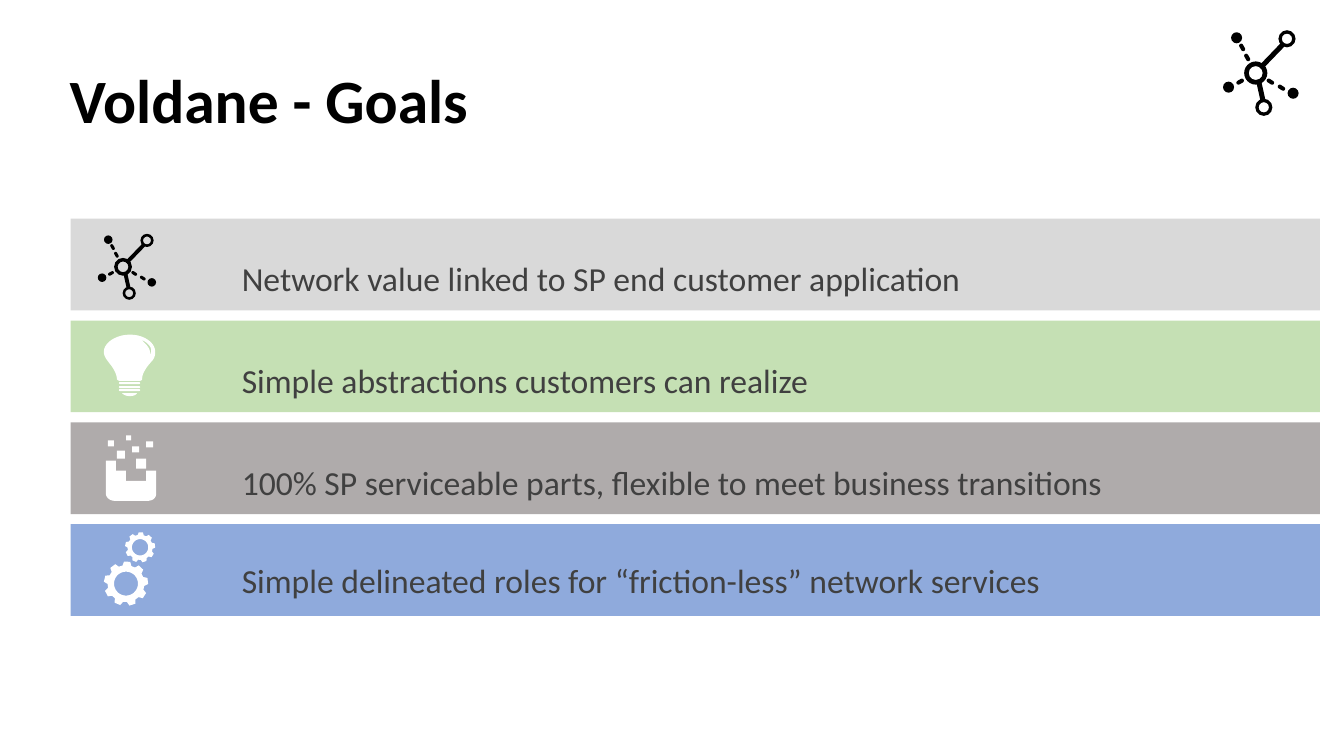
"""Build the project goals slide: four coloured bars, each with an icon."""
from math import cos, radians, sin

from pptx import Presentation
from pptx import util as u
from pptx.dml.color import RGBColor
from pptx.enum import shapes, text

COLORS = {"black": "000000", "white": "FFFFFF", "text": "404040", "grey": "D9D9D9",
          "green": "C5E0B4", "taupe": "AFABAB", "blue": "8FAADC"}
TITLE = "Voldane - Goals"
GOALS = [
    ("Network value linked to SP end customer application", "grey", 2.11),
    ("Simple abstractions customers can realize", "green", 3.12),
    ("100% SP serviceable parts, flexible to meet business transitions", "taupe", 4.13),
    ("Simple delineated roles for “friction-less” network services", "blue", 5.11),
]
BAR_LEFT, BAR_TOP, BAR_PITCH, BAR_WIDTH, BAR_HEIGHT = 0.7, 2.17, 1.01, 12.39, 0.91
TEXT_LEFT, TEXT_WIDTH, TEXT_HEIGHT = 2.3, 10.06, 1.01

NETWORK_PLACES = [(12.13, 0.3, 1), (0.97, 2.32, 0.77)]
NETWORK_PARTS = [
    ("OVAL", 0, 0.51, 0.11, 0.11, 0),
    ("OVAL", 0.08, 0.02, 0.11, 0.11, 0),
    ("OVAL", 0.64, 0.57, 0.11, 0.11, 0),
    ("DONUT", 0.32, 0.68, 0.17, 0.17, 0),
    ("DONUT", 0.21, 0.31, 0.23, 0.23, 0),
    ("DONUT", 0.55, 0, 0.17, 0.17, 0),
    ("RECTANGLE", 0.46, 0.09, 0.05, 0.33, 43.9),
    ("ROUNDED_RECTANGLE", 0.17, 0.13, 0.04, 0.08, 330.4),
    ("ROUNDED_RECTANGLE", 0.22, 0.23, 0.04, 0.08, 330.4),
    ("ROUNDED_RECTANGLE", 0.15, 0.47, 0.04, 0.08, 60.3),
    ("ROUNDED_RECTANGLE", 0.45, 0.47, 0.04, 0.08, 302.4),
    ("ROUNDED_RECTANGLE", 0.56, 0.53, 0.04, 0.08, 302.4),
    ("RECTANGLE", 0.35, 0.49, 0.05, 0.22, 347.5),
]
ADJUST = {"DONUT": 0.2, "ROUNDED_RECTANGLE": 0.5}

BULB_GLASS = [
    [(1.29, 3.32), (1.43, 3.32, 1.54, 3.4, 1.54, 3.49), (1.54, 3.53, 1.53, 3.56, 1.5, 3.59),
     (1.42, 3.68, 1.41, 3.73, 1.41, 3.76), (1.41, 3.77, 1.4, 3.78, 1.38, 3.78), (1.19, 3.78),
     (1.18, 3.78, 1.16, 3.77, 1.16, 3.76), (1.16, 3.73, 1.14, 3.67, 1.09, 3.61),
     (1.05, 3.56, 1.03, 3.53, 1.03, 3.49), (1.03, 3.4, 1.15, 3.32, 1.29, 3.32)],
    [(1.4, 3.37), (1.48, 3.44, 1.49, 3.47, 1.49, 3.52), (1.51, 3.48, 1.51, 3.42, 1.4, 3.37)],
]
BULB_CAP = [[(1.21, 3.9), (1.36, 3.9), (1.35, 3.92, 1.32, 3.93, 1.29, 3.93),
             (1.25, 3.93, 1.23, 3.92, 1.21, 3.9)]]
BULB_THREADS = [(1.18, top, 0.21, 0.02) for top in (3.79, 3.83, 3.86)]

BUCKET = [[(1.05, 4.57), (1.15, 4.57), (1.15, 4.67), (1.25, 4.67), (1.25, 4.77), (1.45, 4.77),
           (1.45, 4.67), (1.55, 4.67), (1.55, 4.89), (1.55, 4.95, 1.51, 4.97, 1.45, 4.97),
           (1.15, 4.97), (1.09, 4.97, 1.05, 4.94, 1.05, 4.89)]]
PIXELS = [(1.25, 4.32, 0.05, 0.05), (1.35, 4.55, 0.1, 0.1), (1.16, 4.47, 0.08, 0.08),
          (1.45, 4.38, 0.07, 0.06), (1.31, 4.43, 0.07, 0.06), (1.07, 4.37, 0.06, 0.06)]

GEARS = [(1.25, 5.79, 0.22), (1.39, 5.43, 0.15)]
TEETH, FIRST_TOOTH = 9, 73
TOOTH_PROFILE = [(-14, 0.83), (-8, 1), (8, 1), (14, 0.83)]
HOLE_RATIO = 0.54


def inches(values):
    return [u.Inches(value) for value in values]


def paint(shape, color):
    shape.shadow.inherit = False
    shape.fill.solid()
    shape.fill.fore_color.rgb = RGBColor.from_string(COLORS[color])
    shape.line.fill.background()


def add_part(canvas, kind, frame, color, turn=0):
    shape = canvas.shapes.add_shape(getattr(shapes.MSO_SHAPE, kind), *inches(frame))
    if kind in ADJUST:
        shape.adjustments[0] = ADJUST[kind]
    shape.rotation = turn
    paint(shape, color)


def flatten(outline, steps=10):
    points = []
    for item in outline:
        if len(item) == 2:
            points.append(item)
            continue
        corners = [points[-1], item[:2], item[2:4], item[4:]]
        for step in range(1, steps + 1):
            t = step / steps
            weights = [(1 - t) ** 3, 3 * t * (1 - t) ** 2, 3 * t * t * (1 - t), t ** 3]
            points.append(tuple(sum(w * c[axis] for w, c in zip(weights, corners))
                                for axis in (0, 1)))
    return points


def add_outline(canvas, outlines, color):
    builder = None
    for outline in outlines:
        points = [tuple(inches(point)) for point in flatten(outline)]
        if builder is None:
            builder = canvas.shapes.build_freeform(*points[0], scale=1.0)
        else:
            builder.move_to(*points[0])
        builder.add_line_segments(points[1:], close=True)
    paint(builder.convert_to_shape(), color)


def gear_outlines(x, y, radius):
    def spot(angle, ratio):
        return (x + radius * ratio * cos(radians(angle)), y + radius * ratio * sin(radians(angle)))

    rim = [spot(FIRST_TOOTH + tooth * 360 / TEETH + offset, ratio)
           for tooth in range(TEETH) for offset, ratio in TOOTH_PROFILE]
    hole = [spot(angle, HOLE_RATIO) for angle in range(360, 0, -10)]
    return [rim, hole]


def write(box, words, size, color, bold, spacing, before):
    frame = box.text_frame
    frame.word_wrap = True
    para = frame.paragraphs[0]
    formats = {"alignment": text.PP_ALIGN.LEFT, "line_spacing": spacing,
               "space_before": u.Pt(before)}
    for name, value in formats.items():
        setattr(para, name, value)
    span = para.add_run()
    span.text = words
    for name, value in {"name": "Calibri", "size": u.Pt(size), "bold": bold}.items():
        setattr(span.font, name, value)
    span.font.color.rgb = RGBColor.from_string(COLORS[color])


def main():
    deck = Presentation()
    deck.slide_width, deck.slide_height = inches((13.33, 7.5))
    page = deck.slides.add_slide(deck.slide_layouts[5])

    title = page.shapes.title
    title.left, title.top, title.width, title.height = inches((0.59, 0.3, 11.5, 1.45))
    write(title, TITLE, 44, "black", True, 0.9, 0)
    title.text_frame.vertical_anchor = text.MSO_ANCHOR.MIDDLE

    for row, (words, color, text_top) in enumerate(GOALS):
        bar_top = BAR_TOP + row * BAR_PITCH
        add_part(page, "RECTANGLE", (BAR_LEFT, bar_top, BAR_WIDTH, BAR_HEIGHT), color)
        box = page.shapes.add_textbox(*inches((TEXT_LEFT, text_top, TEXT_WIDTH, TEXT_HEIGHT)))
        write(box, words, 24, "text", False, 2.0, 10)

    for left, top, scale in NETWORK_PLACES:
        network = page.shapes.add_group_shape()
        for kind, x, y, width, height, turn in NETWORK_PARTS:
            frame = (left + x * scale, top + y * scale, width * scale, height * scale)
            add_part(network, kind, frame, "black", turn)

    bulb = page.shapes.add_group_shape()
    for outlines in (BULB_GLASS, BULB_CAP):
        add_outline(bulb, outlines, "white")
    for thread in BULB_THREADS:
        add_part(bulb, "ROUNDED_RECTANGLE", thread, "white")

    blocks = page.shapes.add_group_shape()
    add_outline(blocks, BUCKET, "white")
    for pixel in PIXELS:
        add_part(blocks, "RECTANGLE", pixel, "white")

    gears = page.shapes.add_group_shape()
    for gear in GEARS:
        add_outline(gears, gear_outlines(*gear), "white")

    deck.save("out.pptx")


if __name__ == "__main__":
    main()
